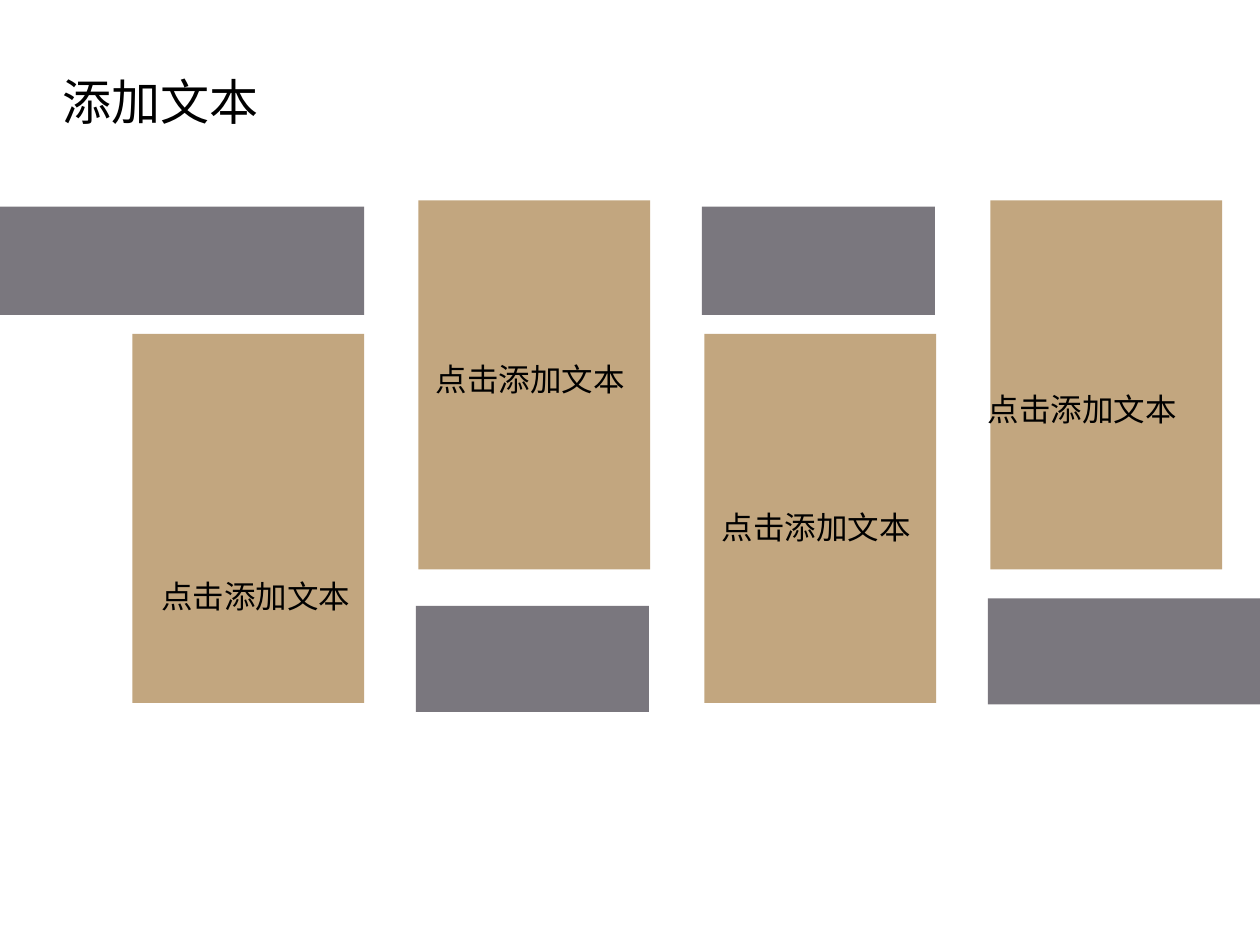
from dataclasses import dataclass

from lxml import etree
from pptx import Presentation
from pptx.dml.color import RGBColor
from pptx.enum.shapes import MSO_SHAPE
from pptx.enum.text import MSO_AUTO_SIZE, PP_ALIGN
from pptx.oxml.ns import qn
from pptx.util import Inches, Pt


@dataclass(frozen=True)
class Theme:
    bar: RGBColor = RGBColor(0x7A, 0x77, 0x7E)
    panel: RGBColor = RGBColor(0xC2, 0xA6, 0x7F)
    text: RGBColor = RGBColor(0, 0, 0)
    font: str = "Noto Sans CJK SC"
    title_size: int = 28
    label_size: int = 18


theme = Theme()
presentation = Presentation()
presentation.slide_width = Inches(10)
presentation.slide_height = Inches(7.5)
slide = presentation.slides.add_slide(presentation.slide_layouts[6])


def add_block(left, top, width, height, color):
    shape = slide.shapes.add_shape(
        MSO_SHAPE.RECTANGLE, Inches(left), Inches(top), Inches(width), Inches(height)
    )
    shape.shadow.inherit = False
    shape.fill.solid()
    shape.fill.fore_color.rgb = color
    shape.line.fill.background()


def add_text(text, left, top, width, height, size, wrap=False):
    box = slide.shapes.add_textbox(Inches(left), Inches(top), Inches(width), Inches(height))
    frame = box.text_frame
    frame.word_wrap = wrap
    frame.auto_size = MSO_AUTO_SIZE.SHAPE_TO_FIT_TEXT
    paragraph = frame.paragraphs[0]
    paragraph.alignment = PP_ALIGN.LEFT
    run = paragraph.add_run()
    run.text = text
    run.font.size = Pt(size)
    run.font.color.rgb = theme.text
    run.font.name = theme.font
    # East Asian characters take their own typeface setting
    etree.SubElement(run.font._element, qn("a:ea")).set("typeface", theme.font)


# Grey bars, the outer two running to the slide edges
for left, top, width, height in [
    (0, 1.64, 2.89, 0.86),
    (3.3, 4.81, 1.85, 0.84),
    (5.57, 1.64, 1.85, 0.86),
    (7.84, 4.75, 2.99, 0.84),
]:
    add_block(left, top, width, height, theme.bar)

# Tan panels, alternately low and high
panel_left, panel_pitch = 1.05, 2.27
for column in range(4):
    top = 1.59 if column % 2 else 2.65
    add_block(panel_left + column * panel_pitch, top, 1.84, 2.93, theme.panel)

# Title
add_text("添加文本", 0.4, 0.52, 1.75, 0.57, theme.title_size)

# Panel labels
for left, top, width, wrap in [
    (5.63, 3.98, 1.7, False),
    (7.74, 3.05, 1.7, False),
    (3.36, 2.81, 1.72, True),
    (1.18, 4.53, 1.7, False),
]:
    add_text("点击添加文本", left, top, width, 0.4, theme.label_size, wrap)

presentation.save("out.pptx")
